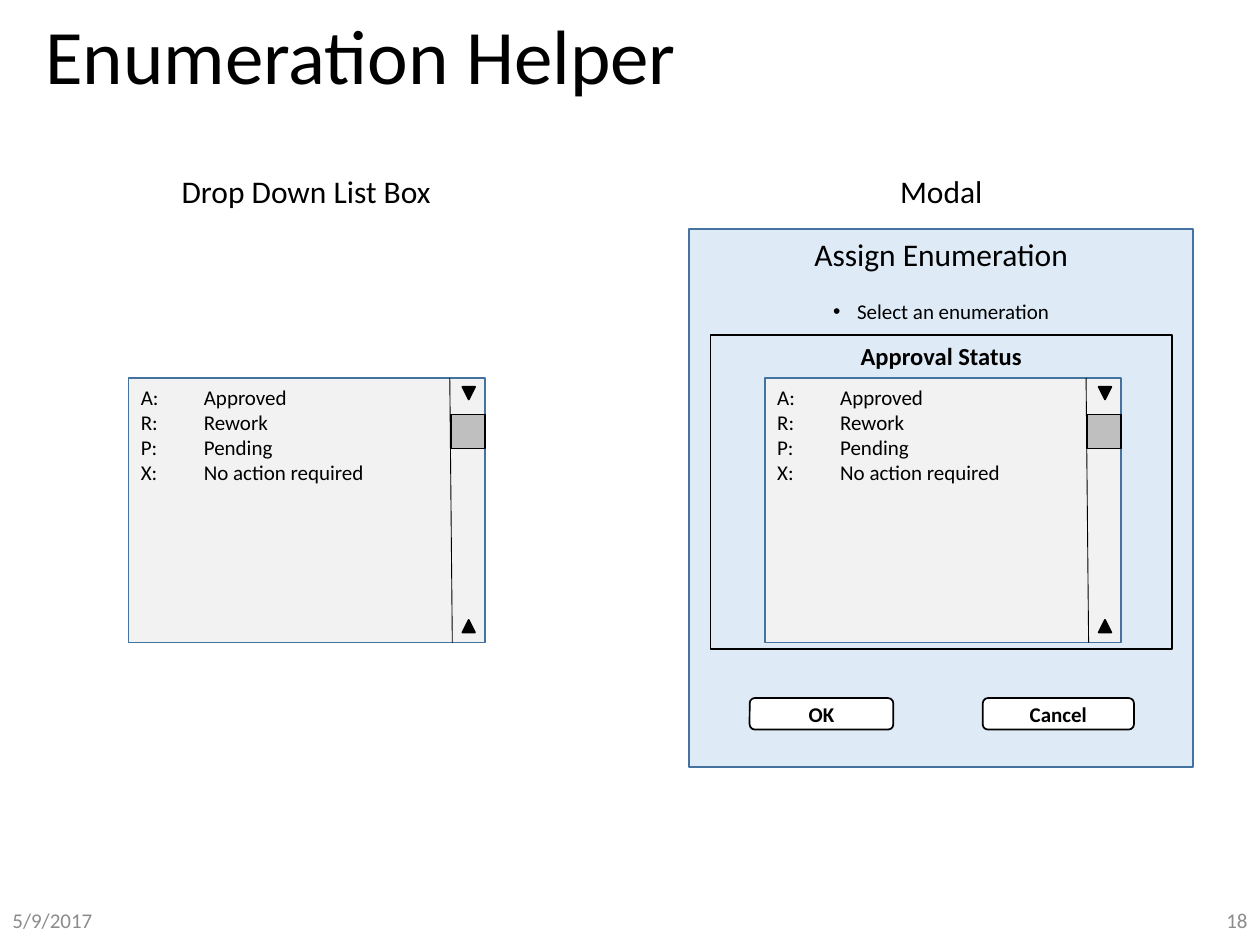
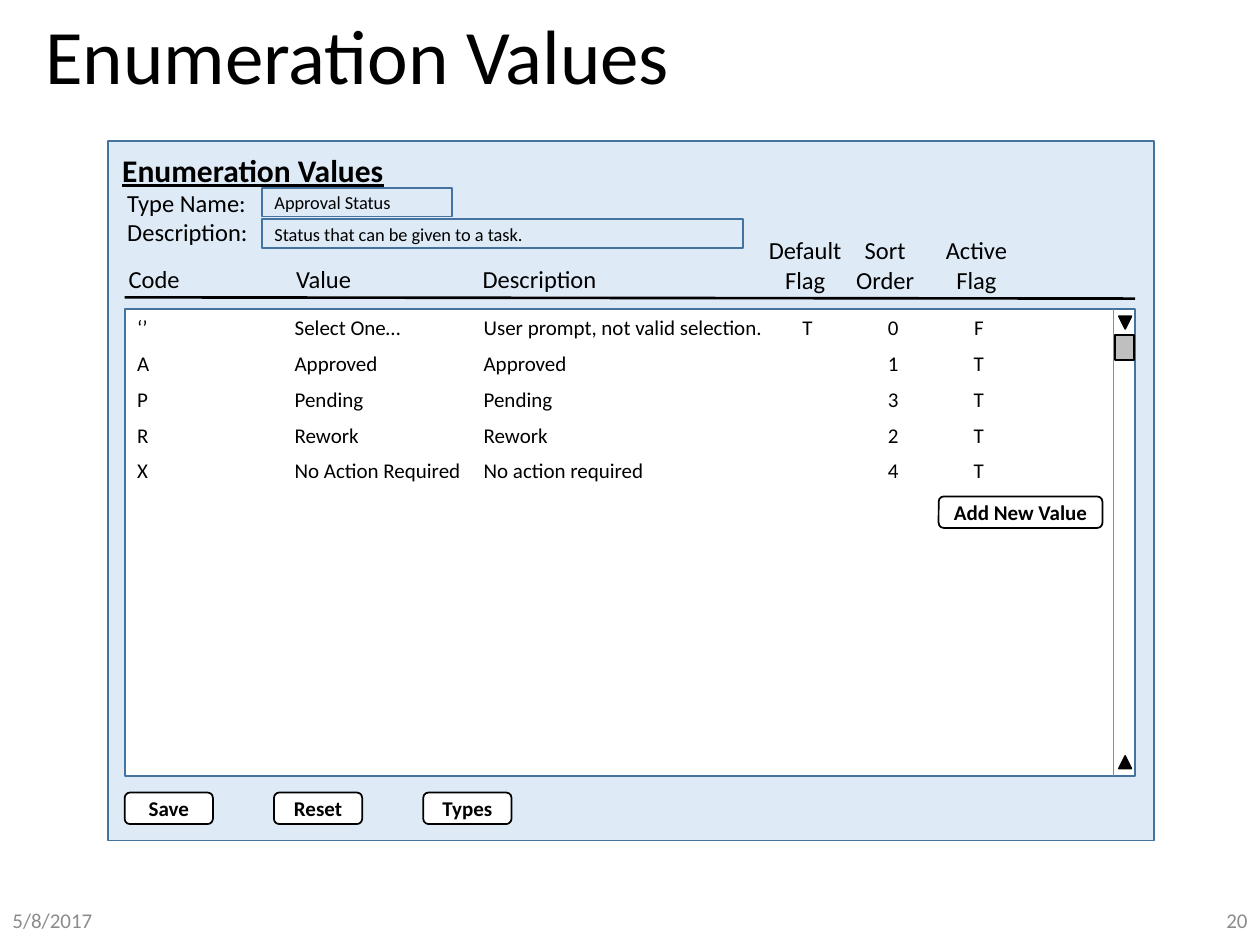
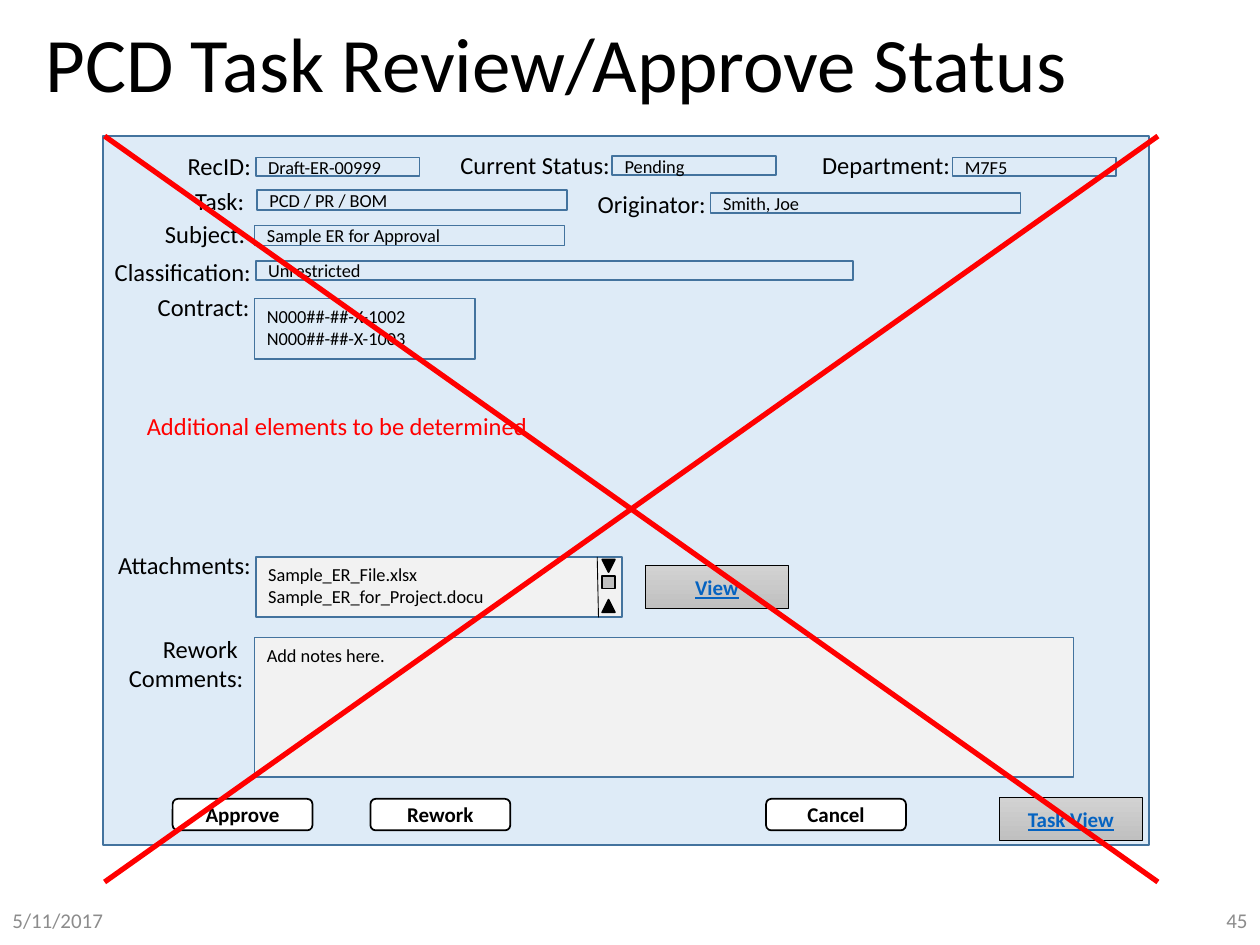
from lxml import etree
from pptx import Presentation
from pptx.dml.color import RGBColor
from pptx.enum.shapes import MSO_CONNECTOR, MSO_SHAPE
from pptx.enum.text import MSO_ANCHOR, MSO_AUTO_SIZE, PP_ALIGN
from pptx.oxml.ns import qn
from pptx.util import Inches, Pt

RECT, ROUNDED = MSO_SHAPE.RECTANGLE, MSO_SHAPE.ROUNDED_RECTANGLE
TRIANGLE, PROCESS = MSO_SHAPE.ISOSCELES_TRIANGLE, MSO_SHAPE.FLOWCHART_PROCESS
ACTION = MSO_SHAPE.ACTION_BUTTON_CUSTOM
STRAIGHT = MSO_CONNECTOR.STRAIGHT
LEFT, CENTER, RIGHT = PP_ALIGN.LEFT, PP_ALIGN.CENTER, PP_ALIGN.RIGHT
TOP, MIDDLE = MSO_ANCHOR.TOP, MSO_ANCHOR.MIDDLE
NO_AUTOFIT = MSO_AUTO_SIZE.NONE

FONT = "Calibri"
COLORS = {
    "black": "000000", "white": "FFFFFF", "panel": "DEEBF7", "border": "43739E",
    "list": "F2F2F2", "thumb": "BFBFBF", "footer": "8C8C8C", "red": "FF0000",
    "link": "0563C1", "blue": "5B9BD5", "light": "D2D2D2", "dark": "C0C0C0",
}
RGB = {name: RGBColor.from_string(value) for name, value in COLORS.items()}

PANEL = dict(kind=RECT, fill="panel", line="border")
LIST = dict(kind=RECT, fill="list", line="border")
FIELD = dict(kind=RECT, line="border", size=10.5)
BUTTON = dict(kind=ROUNDED, fill="white", line="black",
              align=CENTER, anchor=MIDDLE, bold=True)
LINK_BUTTON = dict(kind=ACTION, line="black", weight=0.5, color="link",
                   align=CENTER, anchor=MIDDLE, bold=True, underline=True)
SCROLL_PART = dict(line="black")


def add_box(slide, box, lines=(), kind=None, fill=None, line=None, weight=1,
            align=LEFT, anchor=TOP, wrap=True, inset=None, tabs=(), space_after=0,
            size=12, color="black", bold=False, underline=False):
    """Add a preset shape, or a text box if kind is None; tabs are (inches, alignment)."""
    place = [Inches(value) for value in box]
    if kind is None:
        shape = slide.shapes.add_textbox(*place)
    else:
        shape = slide.shapes.add_shape(kind, *place)
        shape.shadow.inherit = False
    if fill:
        shape.fill.solid()
        shape.fill.fore_color.rgb = RGB[fill]
    else:
        shape.fill.background()
    if line:
        shape.line.color.rgb = RGB[line]
        shape.line.width = Pt(weight)
    else:
        shape.line.fill.background()

    frame = shape.text_frame
    frame.word_wrap = wrap
    frame.vertical_anchor = anchor
    if inset is not None:
        for side in ("left", "top", "right", "bottom"):
            setattr(frame, f"margin_{side}", Inches(inset))
    font_format = {"name": FONT, "size": Pt(size), "bold": bold, "underline": underline}
    for number, text in enumerate(lines):
        paragraph = frame.add_paragraph() if number else frame.paragraphs[0]
        paragraph.alignment = align
        paragraph.space_after = Pt(space_after)
        run = paragraph.add_run()
        run.text = text
        run.font.color.rgb = RGB[color]
        for attribute, value in font_format.items():
            setattr(run.font, attribute, value)
        if tabs:
            tab_list = etree.SubElement(paragraph._p.get_or_add_pPr(), qn("a:tabLst"))
            for position, tab_align in tabs:
                etree.SubElement(tab_list, qn("a:tab"),
                                 pos=str(Inches(position)), algn=tab_align)
    return shape


def add_line(slide, start, end, color, weight):
    connector = slide.shapes.add_connector(
        STRAIGHT, *[Inches(value) for value in (*start, *end)])
    connector.line.color.rgb = RGB[color]
    connector.line.width = Pt(weight)
    etree.SubElement(connector._element.spPr, qn("a:effectLst"))


prs = Presentation()
prs.slide_width, prs.slide_height = Inches(10), Inches(7.5)

# Titles and footers
pages = [
    ("Enumeration Helper", (0.26, 0.09, 9.5, 0.76), "5/9/2017", "18"),
    ("Enumeration Values", (0.26, 0.09, 9.5, 0.76), "5/8/2017", "20"),
    ("PCD Task Review/Approve Status", (0.26, 0.1, 8.62, 0.87), "5/11/2017", "45"),
]
for heading, box, date, page_number in pages:
    slide = prs.slides.add_slide(prs.slide_layouts[5])
    title = slide.shapes.title
    title.left, title.top, title.width, title.height = [Inches(value) for value in box]
    title.text_frame.text = heading
    title.text_frame.auto_size = NO_AUTOFIT
    title.text_frame.vertical_anchor = MIDDLE
    paragraph = title.text_frame.paragraphs[0]
    paragraph.alignment = LEFT
    paragraph.line_spacing = 0.9
    for attribute, value in {"name": FONT, "size": Pt(44)}.items():
        setattr(paragraph.runs[0].font, attribute, value)
    paragraph.runs[0].font.color.rgb = RGB["black"]
    for left, text, align in ((0, date, LEFT), (7.75, page_number, RIGHT)):
        add_box(slide, (left, 7.1, 2.25, 0.4), [text],
                align=align, anchor=MIDDLE, color="footer")
helper, values, review = prs.slides

# Enumeration Helper
modal = add_box(helper, (5.47, 1.82, 4, 4.27),
                ["Assign Enumeration", "Select an enumeration"],
                **PANEL, align=CENTER, size=18)
heading, instruction = modal.text_frame.paragraphs
heading.space_after = Pt(14.6)
instruction.runs[0].font.size = Pt(12)
properties = instruction._p.get_or_add_pPr()
properties.set("marL", str(Inches(0.19)))
properties.set("indent", str(Inches(-0.19)))
etree.SubElement(properties, qn("a:buFont"), typeface="Arial")
etree.SubElement(properties, qn("a:buChar"), char="•")

add_box(helper, (5.64, 2.66, 3.66, 2.49), ["Approval Status"],
        kind=RECT, line="black", align=CENTER, size=14, bold=True)
for left, width, text in ((5.95, 1.14, "OK"), (7.8, 1.2, "Cancel")):
    add_box(helper, (left, 5.54, width, 0.25), [text], **BUTTON)
for left, width, text in ((1.33, 2.2, "Drop Down List Box"), (7.04, 0.86, "Modal")):
    add_box(helper, (left, 1.32, width, 0.4), [text],
            align=CENTER, wrap=False, size=18)

statuses = ["A:\tApproved", "R:\tRework", "P:\tPending", "X:\tNo action required"]
list_lefts = (1.02, 6.07)
for left in list_lefts:
    add_box(helper, (left, 3, 2.83, 2.1), statuses, **LIST, tabs=[(0.5, "l")])

# Enumeration Values
add_box(values, (0.86, 1.12, 8.3, 5.55), **PANEL)
add_box(values, (0.92, 1.15, 2.19, 0.4), ["Enumeration Values"],
        wrap=False, inset=0.05, size=18, bold=True, underline=True)
captions = [
    ((0.96, 1.44, 1.11, 0.57), ["Type Name:", "Description:"], LEFT),
    ((0.97, 2.05, 0.51, 0.34), ["Code"], LEFT),
    ((2.3, 2.05, 0.54, 0.34), ["Value"], LEFT),
    ((3.78, 2.05, 1.02, 0.34), ["Description"], LEFT),
    ((6.05, 1.82, 0.68, 0.57), ["Default", "Flag"], CENTER),
    ((6.74, 1.82, 0.57, 0.57), ["Sort", "Order"], CENTER),
    ((7.45, 1.82, 0.6, 0.57), ["Active", "Flag"], CENTER),
]
for box, lines, align in captions:
    add_box(values, box, lines, align=align, wrap=False, inset=0.05, size=14)
add_line(values, (0.99, 2.36), (9.01, 2.37), "black", 1.5)
for top, width, text in ((1.49, 1.51, "Approval Status"),
                         (1.74, 3.82, "Status that can be given to a task.")):
    add_box(values, (2.08, top, width, 0.23), [text], **FIELD, anchor=MIDDLE)

enumeration = [
    ("‘’", "Select One…", "User prompt, not valid selection.", "T", "0", "F"),
    ("A", "Approved", "Approved", "", "1", "T"),
    ("P", "Pending", "Pending", "", "3", "T"),
    ("R", "Rework", "Rework", "", "2", "T"),
    ("X", "No Action Required", "No action required", "", "4", "T"),
]
add_box(values, (0.99, 2.45, 8.02, 3.71), ["\t".join(row) for row in enumeration],
        kind=RECT, fill="white", line="border", space_after=6,
        tabs=[(1.25, "l"), (2.75, "l"), (5.32, "ctr"), (6, "ctr"), (6.68, "ctr")])
for number, text in enumerate(("Save", "Reset", "Types")):
    add_box(values, (0.99 + 1.185 * number, 6.29, 0.7, 0.25), [text], **BUTTON)
add_box(values, (7.45, 3.94, 1.3, 0.25), ["Add New Value"], **BUTTON)

# PCD Task Review/Approve Status
add_box(review, (0.82, 1.08, 8.3, 5.63), **PANEL)
labels = [
    ((1.29, 1.15, 0.8, 0.34), ["RecID:"], True),
    ((3.54, 1.14, 1.4, 0.34), ["Current Status:"], False),
    ((6.41, 1.14, 1.23, 0.34), ["Department:"], False),
    ((1.2, 1.43, 0.88, 0.34), ["Task: "], True),
    ((4.63, 1.45, 1.07, 0.34), ["Originator: "], True),
    ((1.21, 1.69, 0.88, 0.34), ["Subject: "], True),
    ((0.79, 1.99, 1.3, 0.34), ["Classification:"], False),
    ((1.15, 2.27, 0.93, 0.34), ["Contract:"], True),
    ((0.82, 4.32, 1.27, 0.34), ["Attachments:"], True),
    ((0.82, 4.98, 1.21, 0.57), ["Rework ", "Comments:"], True),
]
for box, lines, wrap in labels:
    add_box(review, box, lines, align=RIGHT, wrap=wrap, size=14)
entries = [
    ((2.03, 1.25, 1.3, 0.15), "Draft-ER-00999"),
    ((4.86, 1.24, 1.3, 0.15), "Pending"),
    ((7.56, 1.25, 1.3, 0.15), "M7F5"),
    ((2.04, 1.51, 2.46, 0.16), "PCD / PR / BOM"),
    ((5.64, 1.53, 2.46, 0.16), "Smith, Joe"),
    ((2.02, 1.79, 2.46, 0.16), "Sample ER for Approval"),
    ((2.03, 2.07, 4.74, 0.15), "Unrestricted"),
]
for box, text in entries:
    add_box(review, box, [text], **FIELD, anchor=MIDDLE)
add_box(review, (2.02, 2.37, 1.75, 0.48),
        ["N000##-##-X-1002", "N000##-##-X-1003"], **FIELD)
add_box(review, (1.05, 3.21, 3.25, 0.34), ["Additional elements to be determined"],
        align=CENTER, wrap=False, size=14, color="red")
add_box(review, (2.03, 4.42, 2.91, 0.48),
        ["Sample_ER_File.xlsx", "Sample_ER_for_Project.docu"], **LIST, size=10.5)
add_box(review, (2.02, 5.06, 6.5, 1.11), ["Add notes here."], **LIST, size=10.5)
for left, text in ((1.37, "Approve"), (2.94, "Rework"), (6.08, "Cancel")):
    add_box(review, (left, 6.34, 1.11, 0.25), [text], **BUTTON)
for left, top, text in ((5.12, 4.49, "View"), (7.93, 6.33, "Task View")):
    button = add_box(review, (left, top, 1.14, 0.34), [text], **LINK_BUTTON)
    button.fill.gradient()
    button.fill.gradient_angle = 270
    for stop, shade in zip(button.fill.gradient_stops, ("light", "dark")):
        stop.color.rgb = RGB[shade]

# Scroll bars: divider ends, divider colour, arrow left and tops, thumb
scroll_bars = [
    (helper, (left + 2.55, 3), (left + 2.57, 5.1), "black",
     left + 2.65, (3.07, 4.92), (left + 2.56, 3.29, 0.27, 0.27))
    for left in list_lefts
]
scroll_bars += [
    (values, (8.84, 2.45), (8.84, 6.16), "blue",
     8.88, (2.51, 6), (8.85, 2.66, 0.15, 0.2)),
    (review, (4.74, 4.42), (4.75, 4.9), "black",
     4.78, (4.44, 4.76), (4.78, 4.57, 0.1, 0.1)),
]
for slide, start, end, color, arrow_left, arrow_tops, thumb in scroll_bars:
    add_line(slide, start, end, color, 0.5)
    for top, rotation in zip(arrow_tops, (180, 0)):
        arrow = add_box(slide, (arrow_left, top, 0.1, 0.1),
                        kind=TRIANGLE, fill="black", **SCROLL_PART)
        arrow.rotation = rotation
    add_box(slide, thumb, kind=PROCESS, fill="thumb", **SCROLL_PART)

# Cross over the review form
for start_y, end_y in ((1.08, 7), (7, 1.08)):
    add_line(review, (0.83, start_y), (9.19, end_y), "red", 3)

prs.save("out.pptx")
